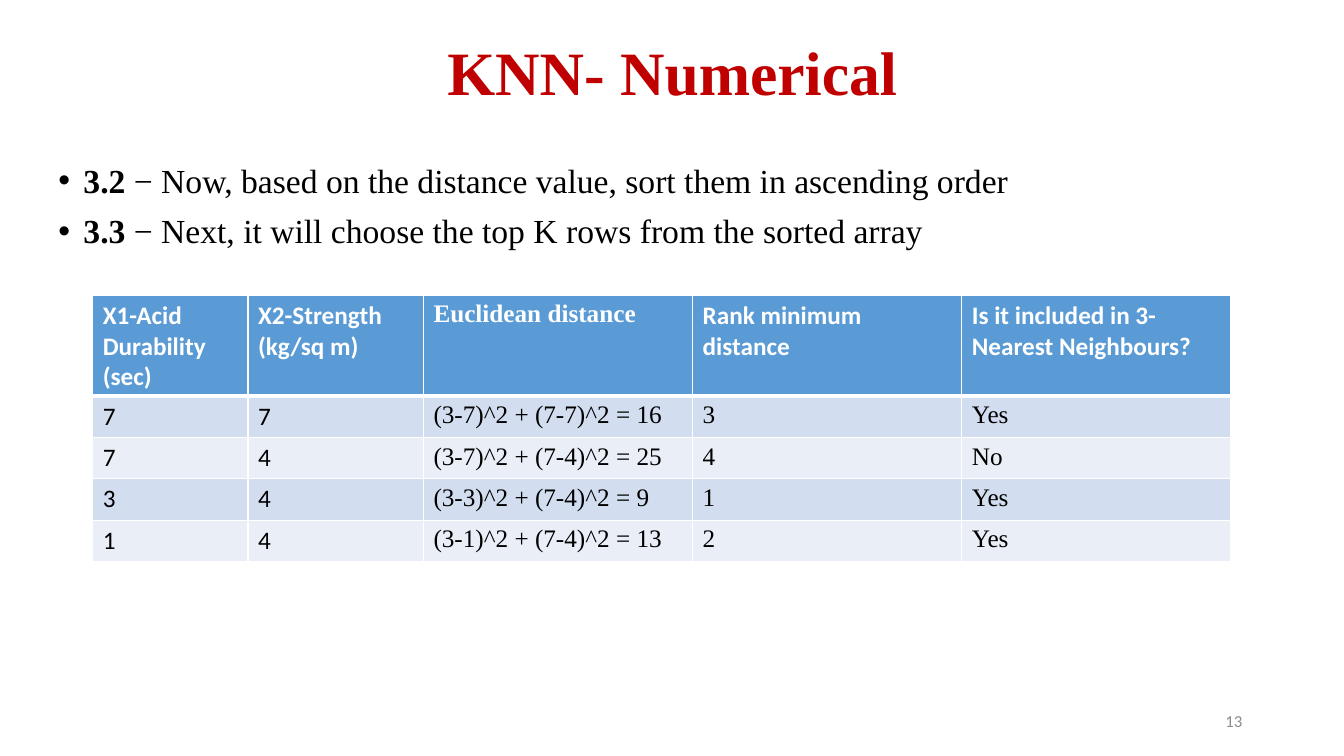
from lxml import etree
from pptx import Presentation
from pptx.dml.color import RGBColor
from pptx.enum.text import MSO_ANCHOR, PP_ALIGN
from pptx.oxml.ns import qn
from pptx.util import Inches, Pt

SERIF, SANS = "Times New Roman", "Calibri"
LEFT, CENTER, RIGHT = PP_ALIGN.LEFT, PP_ALIGN.CENTER, PP_ALIGN.RIGHT
TOP, MIDDLE = MSO_ANCHOR.TOP, MSO_ANCHOR.MIDDLE
COLORS = {
    "title": "C00000", "text": "000000", "number": "8C8C8C", "white": "FFFFFF",
    "header": "5B9BD5", "odd": "D2DEEF", "even": "EAEFF7",
}

TITLE = "KNN- Numerical"
STEPS = [
    ("3.2", " − Now, based on the distance value, sort them in ascending order"),
    ("3.3", " − Next, it will choose the top K rows from the sorted array"),
]
PAGE_NUMBER = "13"
HEADERS = [
    ("X1-Acid Durability (sec)", SANS),
    ("X2-Strength (kg/sq m)", SANS),
    ("Euclidean distance", SERIF),
    ("Rank minimum distance", SANS),
    ("Is it included in 3- Nearest Neighbours?", SANS),
]
NEIGHBOURS = [
    ("7", "7", "(3-7)^2 + (7-7)^2 = 16", "3", "Yes"),
    ("7", "4", "(3-7)^2 + (7-4)^2 = 25", "4", "No"),
    ("3", "4", "(3-3)^2 + (7-4)^2 = 9", "1", "Yes"),
    ("1", "4", "(3-1)^2 + (7-4)^2 = 13", "2", "Yes"),
]
BODY_FONTS = [SANS, SANS, SERIF, SERIF, SERIF]
COLUMN_WIDTHS = [1.54, 1.74, 2.67, 2.67, 2.67]
HEADER_HEIGHT, ROW_HEIGHT = 0.78, 0.41


def add_run(paragraph, text, size, font, color, bold=False):
    run = paragraph.add_run()
    run.text = text
    run.font.color.rgb = RGBColor.from_string(COLORS[color])
    for name, value in {"size": Pt(size), "name": font, "bold": bold}.items():
        setattr(run.font, name, value)


def add_text_frame(slide, box, anchor, alignment):
    frame = slide.shapes.add_textbox(*map(Inches, box)).text_frame
    frame.word_wrap = True
    frame.vertical_anchor = anchor
    frame.paragraphs[0].alignment = alignment
    return frame


def add_bullet(paragraph):
    properties = paragraph._p.get_or_add_pPr()
    properties.set("marL", str(Inches(0.25)))
    properties.set("indent", str(-Inches(0.25)))
    etree.SubElement(properties, qn("a:buFont")).set("typeface", "Arial")
    etree.SubElement(properties, qn("a:buChar")).set("char", "•")


def set_border(cell, side, width):
    """Draw one white edge; side is L, R, T or B."""
    line = etree.Element(qn(f"a:ln{side}"), w=str(Pt(width)))
    fill = etree.SubElement(line, qn("a:solidFill"))
    etree.SubElement(fill, qn("a:srgbClr")).set("val", COLORS["white"])
    properties = cell._tc.get_or_add_tcPr()
    properties.insert("LRTB".index(side), line)


def add_steps(slide):
    frame = add_text_frame(slide, (0.48, 1.58, 12.43, 1.1), TOP, LEFT)
    for index, (number, sentence) in enumerate(STEPS):
        paragraph = frame.add_paragraph() if index else frame.paragraphs[0]
        add_bullet(paragraph)
        paragraph.line_spacing = 0.9
        if index:
            paragraph.space_before = Pt(10)
        add_run(paragraph, number, 24, SERIF, "text", True)
        add_run(paragraph, sentence, 24, SERIF, "text")


def add_distance_table(slide):
    heights = [HEADER_HEIGHT] + [ROW_HEIGHT] * len(NEIGHBOURS)
    box = (0.92, 2.93, sum(COLUMN_WIDTHS), sum(heights))
    table = slide.shapes.add_table(
        len(heights), len(COLUMN_WIDTHS), *map(Inches, box)).table
    for column, width in zip(table.columns, COLUMN_WIDTHS):
        column.width = Inches(width)
    rows = [HEADERS] + [list(zip(row, BODY_FONTS)) for row in NEIGHBOURS]
    for r, row in enumerate(rows):
        table.rows[r].height = Inches(heights[r])
        is_header = r == 0
        fill = "header" if is_header else "odd" if r % 2 else "even"
        for c, (text, font) in enumerate(row):
            cell = table.cell(r, c)
            cell.fill.solid()
            cell.fill.fore_color.rgb = RGBColor.from_string(COLORS[fill])
            for side in "LRTB":
                thick = (r, side) in ((0, "B"), (1, "T"))
                set_border(cell, side, 3 if thick else 1)
            add_run(cell.text_frame.paragraphs[0], text, 18, font,
                    "white" if is_header else "text", is_header)


def main():
    presentation = Presentation()
    presentation.slide_width = Inches(13.33)
    presentation.slide_height = Inches(7.5)
    slide = presentation.slides.add_slide(presentation.slide_layouts[6])

    title = add_text_frame(slide, (0.92, 0.02, 11.5, 1.45), MIDDLE, CENTER)
    title.paragraphs[0].line_spacing = 0.9
    add_run(title.paragraphs[0], TITLE, 44, SERIF, "title", True)
    add_steps(slide)
    number = add_text_frame(slide, (9.42, 6.95, 3, 0.4), MIDDLE, RIGHT)
    add_run(number.paragraphs[0], PAGE_NUMBER, 12, SANS, "number")
    add_distance_table(slide)

    presentation.save("out.pptx")


if __name__ == "__main__":
    main()
